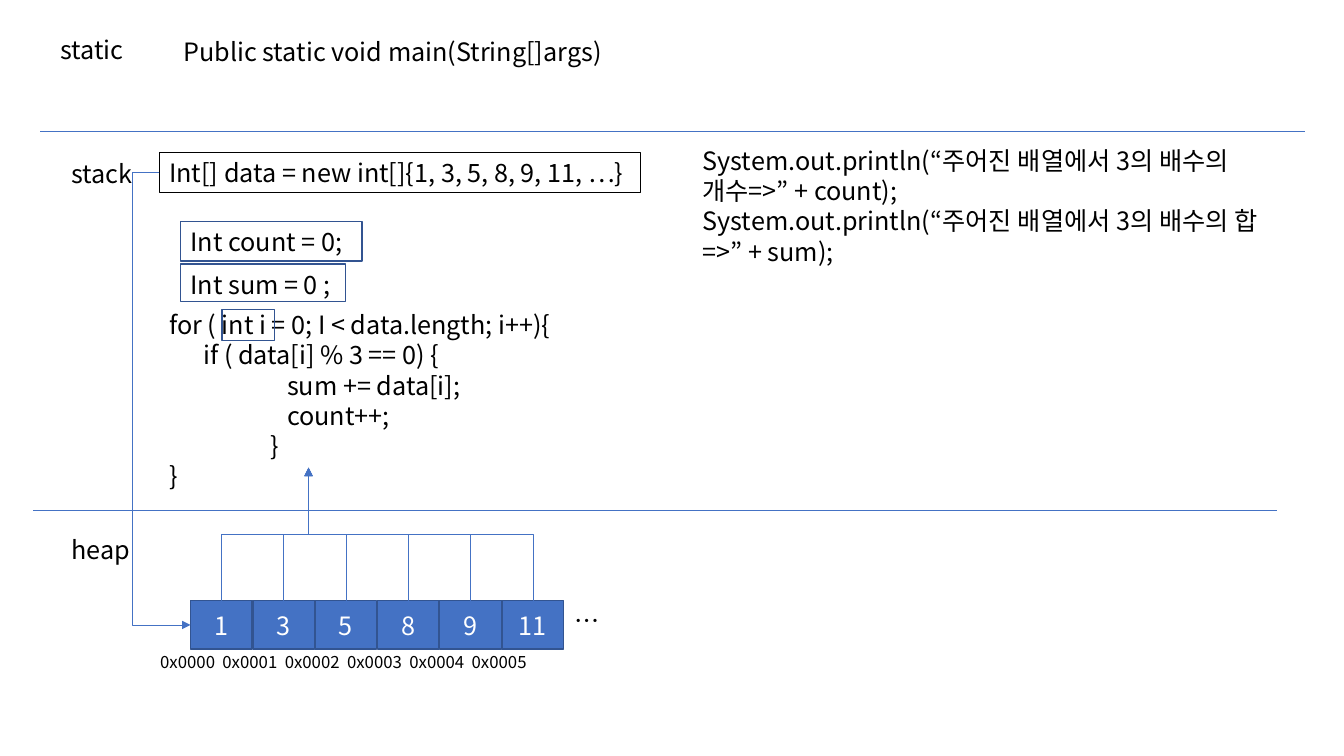
"""Build a slide of static, stack and heap memory for a Java array loop."""
from pptx import Presentation
from pptx.dml.color import RGBColor
from pptx.enum.shapes import MSO_CONNECTOR as Link, MSO_SHAPE as Form
from pptx.enum.text import MSO_ANCHOR as Anchor, PP_ALIGN as Align
from pptx.oxml.ns import qn
from pptx.util import Inches, Pt
from lxml.etree import SubElement as Sub

FACE = "Noto Sans CJK KR"
BLUE, NAVY, BLACK, WHITE = "4472C4", "325491", "000000", "FFFFFF"
unit = Inches(0.1)

deck = Presentation()
deck.slide_width, deck.slide_height = Inches(13.33), Inches(7.5)
shapes = deck.slides.add_slide(deck.slide_layouts[6]).shapes


def write(x, y, wide, high, lines, size=18, edge=None, thick=1, fill=None):
    box = shapes.add_shape(Form.RECTANGLE, *(int(v * unit) for v in (x, y, wide, high))) \
        if edge else shapes.add_textbox(*(int(v * unit) for v in (x, y, wide, high)))
    if edge:
        box.shadow.inherit = False
        box.line.color.rgb, box.line.width = RGBColor.from_string(edge), Pt(thick)
        box.fill.background()
    if fill:
        box.fill.solid()
        box.fill.fore_color.rgb = RGBColor.from_string(fill)
    frame = box.text_frame
    frame.word_wrap = True
    frame.vertical_anchor = Anchor.MIDDLE if fill else Anchor.TOP
    frame.text = "\n".join(text for text, _ in lines)
    for para, (_, dent) in zip(frame.paragraphs, lines):
        para.alignment = Align.CENTER if fill else Align.LEFT
        font = para.font
        font.size, font.name = Pt(size), FACE
        font.color.rgb = RGBColor.from_string(WHITE if fill else BLACK)
        Sub(font._rPr, qn("a:ea")).set("typeface", FACE)
        if dent:
            para._p.pPr.set("marL", str(int(dent * unit)))


def join(x, y, to_x, to_y, form="line", turn=0, bend=None, head=False):
    line = shapes.add_connector(Link.STRAIGHT, *(int(v * unit) for v in (x, y, to_x, to_y)))
    line.line.color.rgb, line.line.width = RGBColor.from_string(BLUE), Pt(0.5)
    prop = line._element.spPr
    prop.xfrm.set("rot", str(turn * 60000))
    geom = prop.find(qn("a:prstGeom"))
    geom.set("prst", form)
    if bend is not None:
        guide = Sub(geom.find(qn("a:avLst")), qn("a:gd"))
        guide.set("name", "adj1")
        guide.set("fmla", f"val {bend}")
    if head:
        Sub(prop.find(qn("a:ln")), qn("a:tailEnd")).set("type", "triangle")
    Sub(prop, qn("a:effectLst"))


join(4, 13, 129.4, 13)
join(3.3, 50.6, 126.7, 50.6)

for text, x, y in (("static", 5, 2.9), ("stack", 6.1, 15.2), ("heap", 6.1, 52.5)):
    write(x, y, 12.9, 4, [(text, 0)])
write(17.2, 3.1, 49.5, 4, [("Public static void main(String[]args)", 0)])
write(15.8, 15.1, 47.7, 4, [("Int[] data = new int[]{1, 3, 5, 8, 9, 11, …}", 0)], edge=BLACK, thick=0.75)
write(17.9, 22, 18, 3.9, [("Int count = 0;", 0)], edge=NAVY)
write(17.9, 26.2, 16.4, 3.7, [("Int sum = 0 ;", 0)], edge=NAVY)
write(15.8, 30.2, 48.7, 19.2, [
    ("for ( int i = 0; I < data.length; i++){", 0), ("if ( data[i] % 3 == 0) {", 3.4),
    ("sum += data[i];", 11.7), ("count++;", 11.7), ("}", 10), ("}", 0)])
write(22, 30.7, 5.2, 3.1, [], edge=NAVY)
write(68.7, 13.9, 58.5, 13.1, [
    (f"System.out.println(“주어진 배열에서 3의 배수의 {name}=>” + {var});", 0)
    for name, var in (("개수", "count"), ("합", "sum"))])

left, top, pitch, cell = 18.9, 59.6, 6.18, 6.1
hub, tip, rail = 30.6, 46.4, 53
for i, num in enumerate((1, 3, 5, 8, 9, 11)):
    x = left + i * pitch
    write(x, top, cell, 4.8, [(str(num), 0)], edge=NAVY, fill=BLUE)
    write(x - 4, 64.2, 8.1, 3, [(f"0x{i:04}", 0)], size=12)
    start = x + cell / 2
    far = i > 3
    end = rail if far else tip
    mid, half = (start + hub) / 2, (top - end) / 2
    side, level = abs(start - hub) / 2, (top + end) / 2
    way = 1 if start > hub else -1
    join(mid - way * half, level + side, mid + way * half, level - side,
         "bentConnector2" if far else "bentConnector3", 270 if way > 0 else 90,
         None if far else 50000, not far)
write(left + 6 * pitch, top, 6.2, 4, [("…", 0)])

join(15.8, 62, 18.9, 17.1, "bentConnector3", 0, -86200, True)
shapes[-1].begin_y, shapes[-1].end_y = int(17.1 * unit), int(62 * unit)

deck.save("out.pptx")
